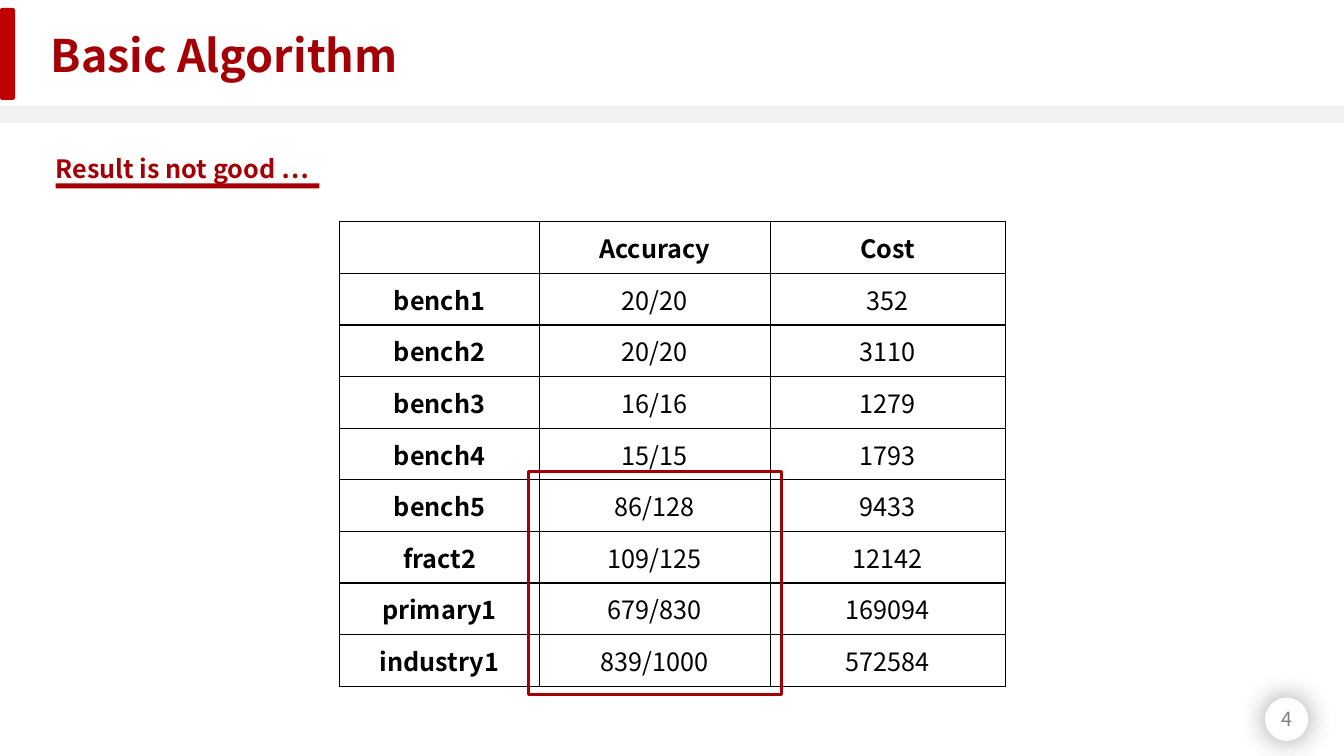
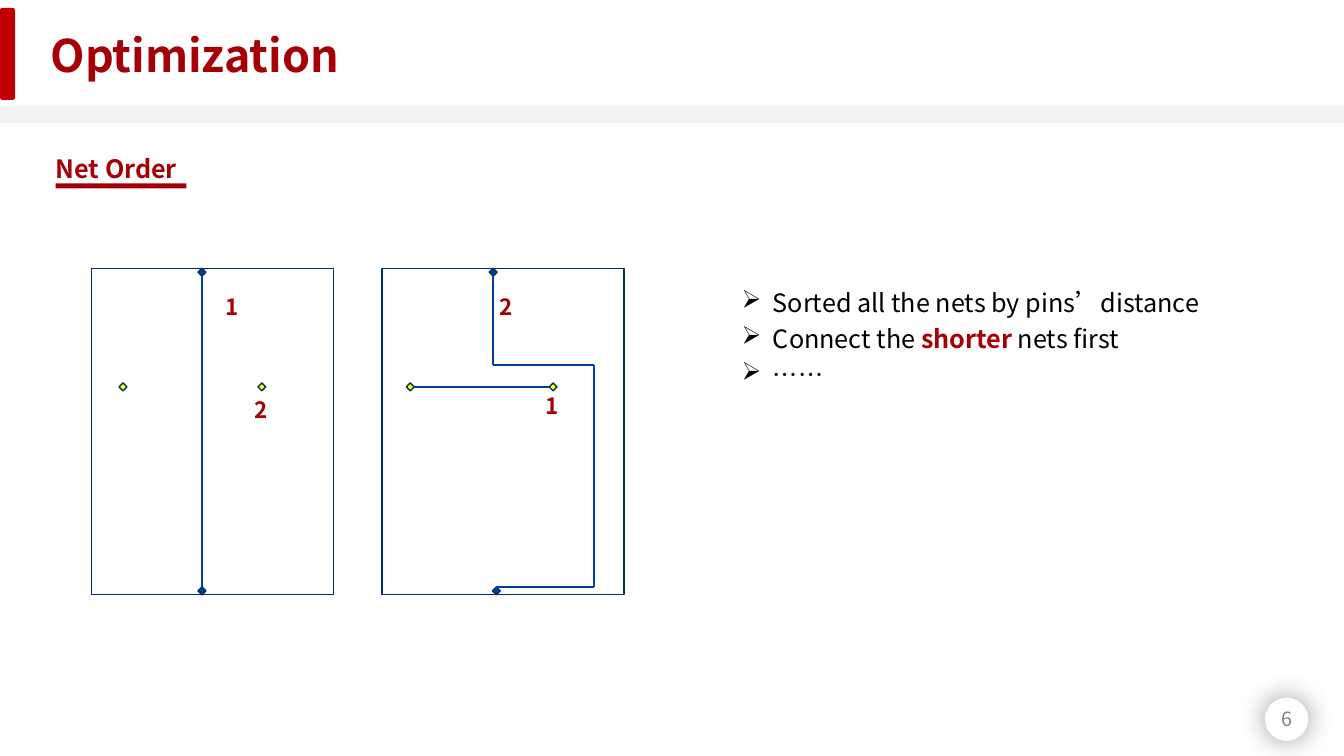
from dataclasses import dataclass
from itertools import pairwise
from typing import NamedTuple

from lxml.etree import SubElement
from pptx import Presentation
from pptx.dml.color import RGBColor
from pptx.enum.lang import MSO_LANGUAGE_ID as Language
from pptx.enum.shapes import MSO_CONNECTOR as Connector
from pptx.enum.shapes import MSO_SHAPE as Preset
from pptx.enum.text import MSO_ANCHOR as Anchor
from pptx.enum.text import MSO_AUTO_SIZE as AutoSize
from pptx.enum.text import PP_ALIGN as Align
from pptx.oxml.ns import qn
from pptx.util import Cm, Pt

FONT = "Noto Sans CJK SC"
ACCENT, TAB_RED, BAND_GRAY, NUMBER_GRAY = "A40006", "C00000", "F2F2F2", "808080"
BLACK, WHITE, NAVY, BLUE, YELLOW = "000000", "FFFFFF", "002F70", "004098", "FFFF00"
TOP, LEFT, BOTTOM, RIGHT = range(4)
PIN_SIZE = 0.2

TITLE = {"size": 32, "color": ACCENT, "bold": True}
HEADING = {"size": 18, "color": ACCENT, "bold": True}
LABEL = {"size": 16, "color": ACCENT, "bold": True}
BODY = {"size": 18, "color": BLACK, "bold": False}
NUMBER = {"size": 14, "color": NUMBER_GRAY, "bold": False}


class Box(NamedTuple):
    """Left, top, width and height in centimetres."""

    left: float
    top: float
    width: float
    height: float

    def lengths(self) -> list:
        """Give the four values as lengths."""
        return [Cm(value) for value in self]


class Pin(NamedTuple):
    """A diamond pin centred at a point inside its panel."""

    x: float
    y: float
    color: str


class Net(NamedTuple):
    """A wire from a side of one pin to a side of another."""

    start: int
    start_side: int
    end: int
    end_side: int
    bends: tuple = ()


class Label(NamedTuple):
    """A net number placed inside its panel."""

    text: str
    x: float
    y: float


@dataclass
class Panel:
    """A routing area with its pins, nets and labels."""

    left: float
    pins: list[Pin]
    nets: list[Net]
    labels: list[Label]
    top: float = 6.76
    width: float = 6.1
    height: float = 8.23


PANELS = [
    Panel(
        2.31,
        [Pin(2.78, 0.1, BLUE), Pin(2.78, 8.13, BLUE),
         Pin(0.79, 2.99, YELLOW), Pin(4.29, 2.99, YELLOW)],
        [Net(0, BOTTOM, 1, TOP)],
        [Label("1", 3.12, 0.51), Label("2", 3.86, 3.1)],
    ),
    Panel(
        9.63,
        [Pin(2.8, 0.1, BLUE), Pin(2.88, 8.13, BLUE),
         Pin(0.71, 2.99, YELLOW), Pin(4.31, 2.99, YELLOW)],
        [Net(2, RIGHT, 3, LEFT),
         Net(0, BOTTOM, 1, TOP, ((2.8, 2.44), (5.33, 2.44), (5.33, 8.03)))],
        [Label("1", 3.86, 2.99), Label("2", 2.72, 0.51)],
    ),
]

RESULTS = [
    ("", "Accuracy", "Cost"),
    ("bench1", "20/20", "352"),
    ("bench2", "20/20", "3110"),
    ("bench3", "16/16", "1279"),
    ("bench4", "15/15", "1793"),
    ("bench5", "86/128", "9433"),
    ("fract2", "109/125", "12142"),
    ("primary1", "679/830", "169094"),
    ("industry1", "839/1000", "572584"),
]

STRATEGY = [
    [("Sorted all the nets by pins’distance", BODY)],
    [("Connect the ", BODY), ("shorter", HEADING), (" nets first", BODY)],
    [("……", BODY)],
]


def rgb(value: str) -> RGBColor:
    """Turn a hex string into a colour."""
    return RGBColor.from_string(value)


def set_attributes(target, values: dict) -> None:
    """Set each named attribute of the target."""
    for name, value in values.items():
        setattr(target, name, value)


def add_run(paragraph, text: str, style: dict, language=Language.ENGLISH_US) -> None:
    """Append a run in the given style."""
    run = paragraph.add_run()
    run.text = text
    set_attributes(run.font, {
        "name": FONT, "size": Pt(style["size"]), "bold": style["bold"], "language_id": language,
    })
    run.font.color.rgb = rgb(style["color"])
    SubElement(run._r.get_or_add_rPr(), qn("a:ea"), typeface=FONT)


def add_text(slide, box: Box, text: str, style: dict, frame: dict | None = None,
             paragraph_format: dict | None = None):
    """Add a text box, with one run if there is text."""
    shape = slide.shapes.add_textbox(*box.lengths())
    set_attributes(shape.text_frame, {
        "word_wrap": True, "auto_size": AutoSize.SHAPE_TO_FIT_TEXT, **(frame or {}),
    })
    paragraph = shape.text_frame.paragraphs[0]
    set_attributes(paragraph, paragraph_format or {})
    if text:
        add_run(paragraph, text, style)
    return shape


def add_preset(slide, preset, box: Box, fill: str | None = None,
               line: str | None = None, width: float = 1):
    """Add a preset shape without a shadow."""
    shape = slide.shapes.add_shape(preset, *box.lengths())
    shape.shadow.inherit = False
    if fill:
        shape.fill.solid()
        shape.fill.fore_color.rgb = rgb(fill)
    else:
        shape.fill.background()
    if line:
        shape.line.color.rgb = rgb(line)
        shape.line.width = Pt(width)
    else:
        shape.line.fill.background()
    return shape


def add_glow(shape) -> None:
    """Give the shape a soft shadow on all sides."""
    effects = shape._element.spPr.find(qn("a:effectLst"))
    shadow = SubElement(effects, qn("a:outerShdw"), blurRad=str(Pt(20)), dist="0", dir="0",
                        algn="ctr", rotWithShape="0")
    color = SubElement(shadow, qn("a:srgbClr"), val=BLACK)
    SubElement(color, qn("a:alpha"), val="40000")


def add_page(presentation, title: str, number: str, heading: str, underline: float):
    """Add a slide with the shared title, bands, page number and heading."""
    slide = presentation.slides.add_slide(presentation.slide_layouts[5])
    add_preset(slide, Preset.RECTANGLE, Box(0, 2.66, 33.87, 0.44), BAND_GRAY)
    add_preset(slide, Preset.ROUNDED_RECTANGLE, Box(0, 0.2, 0.38, 2.32), TAB_RED)

    placeholder = slide.shapes.title
    names = ("left", "top", "width", "height")
    set_attributes(placeholder, dict(zip(names, Box(1.02, 0.56, 19.2, 1.63).lengths())))
    set_attributes(placeholder.text_frame, {
        "word_wrap": True, "vertical_anchor": Anchor.TOP,
        "auto_size": AutoSize.SHAPE_TO_FIT_TEXT,
    })
    paragraph = placeholder.text_frame.paragraphs[0]
    paragraph.alignment = Align.LEFT
    add_run(paragraph, title, TITLE)

    add_glow(add_preset(slide, Preset.OVAL, Box(31.88, 17.58, 1.09, 1.09), WHITE))
    add_text(slide, Box(32.03, 17.7, 0.81, 0.86), number, NUMBER,
             {"word_wrap": False}, {"alignment": Align.CENTER})
    margins = dict.fromkeys(("margin_left", "margin_top", "margin_right", "margin_bottom"), 0)
    add_text(slide, Box(1.4, 3.71, 12.1, 0.84), heading, HEADING, margins, {"line_spacing": 1.2})
    add_preset(slide, Preset.RECTANGLE, Box(1.4, 4.62, underline, 0.13), ACCENT)
    return slide


def add_borders(cell) -> None:
    """Draw a thin black line on the four sides of a cell."""
    properties = cell._tc.get_or_add_tcPr()
    for position, side in enumerate(("lnL", "lnR", "lnT", "lnB")):
        line = SubElement(properties, qn(f"a:{side}"), w=str(Pt(1)))
        fill = SubElement(line, qn("a:solidFill"))
        SubElement(fill, qn("a:srgbClr"), val=BLACK)
        properties.insert(position, line)


def add_results(slide) -> None:
    """Add the result table with a bold first row and column."""
    widths, row_height = (5.03, 5.82, 5.92), 1.3
    box = Box(8.56, 5.59, sum(widths), row_height * len(RESULTS))
    table = slide.shapes.add_table(len(RESULTS), len(widths), *box.lengths()).table
    set_attributes(table, {"first_row": False, "horz_banding": False})
    for column, width in zip(table.columns, widths):
        column.width = Cm(width)
    for row_index, row in enumerate(RESULTS):
        table.rows[row_index].height = Cm(row_height)
        for column_index, text in enumerate(row):
            cell = table.cell(row_index, column_index)
            cell.vertical_anchor = Anchor.MIDDLE
            cell.fill.background()
            add_borders(cell)
            paragraph = cell.text_frame.paragraphs[0]
            paragraph.alignment = Align.CENTER
            if text:
                bold = row_index == 0 or column_index == 0
                add_run(paragraph, text, {**BODY, "bold": bold})


def side_point(pin: Pin, side: int) -> tuple[float, float]:
    """Find the corner of a pin on the given side."""
    half = PIN_SIZE / 2
    shift_x, shift_y = {TOP: (0, -half), LEFT: (-half, 0), BOTTOM: (0, half), RIGHT: (half, 0)}[side]
    return pin.x + shift_x, pin.y + shift_y


def add_net(slide, panel: Panel, net: Net, pins: list) -> None:
    """Draw a net as straight connectors joined to its pins."""
    start = side_point(panel.pins[net.start], net.start_side)
    end = side_point(panel.pins[net.end], net.end_side)
    wires = []
    for ends in pairwise((start, *net.bends, end)):
        lengths = [Cm(value) for x, y in ends for value in (panel.left + x, panel.top + y)]
        wire = slide.shapes.add_connector(Connector.STRAIGHT, *lengths)
        wire.line.color.rgb = rgb(BLUE)
        wire.line.width = Pt(1.5)
        SubElement(wire._element.spPr, qn("a:effectLst"))
        wires.append(wire)
    wires[0].begin_connect(pins[net.start], net.start_side)
    wires[-1].end_connect(pins[net.end], net.end_side)


def add_panel(slide, panel: Panel) -> None:
    """Draw a routing panel with all its parts."""
    add_preset(slide, Preset.RECTANGLE,
               Box(panel.left, panel.top, panel.width, panel.height), line=NAVY)
    pins = []
    for pin in panel.pins:
        box = Box(panel.left + pin.x - PIN_SIZE / 2, panel.top + pin.y - PIN_SIZE / 2,
                  PIN_SIZE, PIN_SIZE)
        pins.append(add_preset(slide, Preset.DIAMOND, box, pin.color, NAVY))
    for net in panel.nets:
        add_net(slide, panel, net, pins)
    for label in panel.labels:
        add_text(slide, Box(panel.left + label.x, panel.top + label.y, 0.89, 0.84),
                 label.text, LABEL)


def add_strategy(slide) -> None:
    """Add the bulleted list about net order."""
    frame = add_text(slide, Box(18.44, 6.96, 12.85, 3.02), "", BODY).text_frame
    for index, runs in enumerate(STRATEGY):
        paragraph = frame.add_paragraph() if index else frame.paragraphs[0]
        properties = paragraph._p.get_or_add_pPr()
        properties.set("marL", str(Cm(0.79)))
        properties.set("indent", str(Cm(-0.79)))
        SubElement(properties, qn("a:buChar"), char="➢")
        set_attributes(paragraph, {"alignment": Align.JUSTIFY, "line_spacing": 1.2})
        for text, style in runs:
            add_run(paragraph, text, style, Language.SIMPLIFIED_CHINESE)


def main() -> None:
    """Build and save the presentation."""
    presentation = Presentation()
    set_attributes(presentation, {"slide_width": Cm(33.87), "slide_height": Cm(19.05)})

    slide = add_page(presentation, "Basic Algorithm", "4", "Result is not good …", 6.65)
    add_results(slide)
    add_preset(slide, Preset.RECTANGLE, Box(13.31, 11.89, 6.38, 5.61), line=ACCENT, width=2.25)

    slide = add_page(presentation, "Optimization", "6", "Net Order", 3.3)
    for panel in PANELS:
        add_panel(slide, panel)
    add_strategy(slide)
    presentation.save("out.pptx")


if __name__ == "__main__":
    main()
